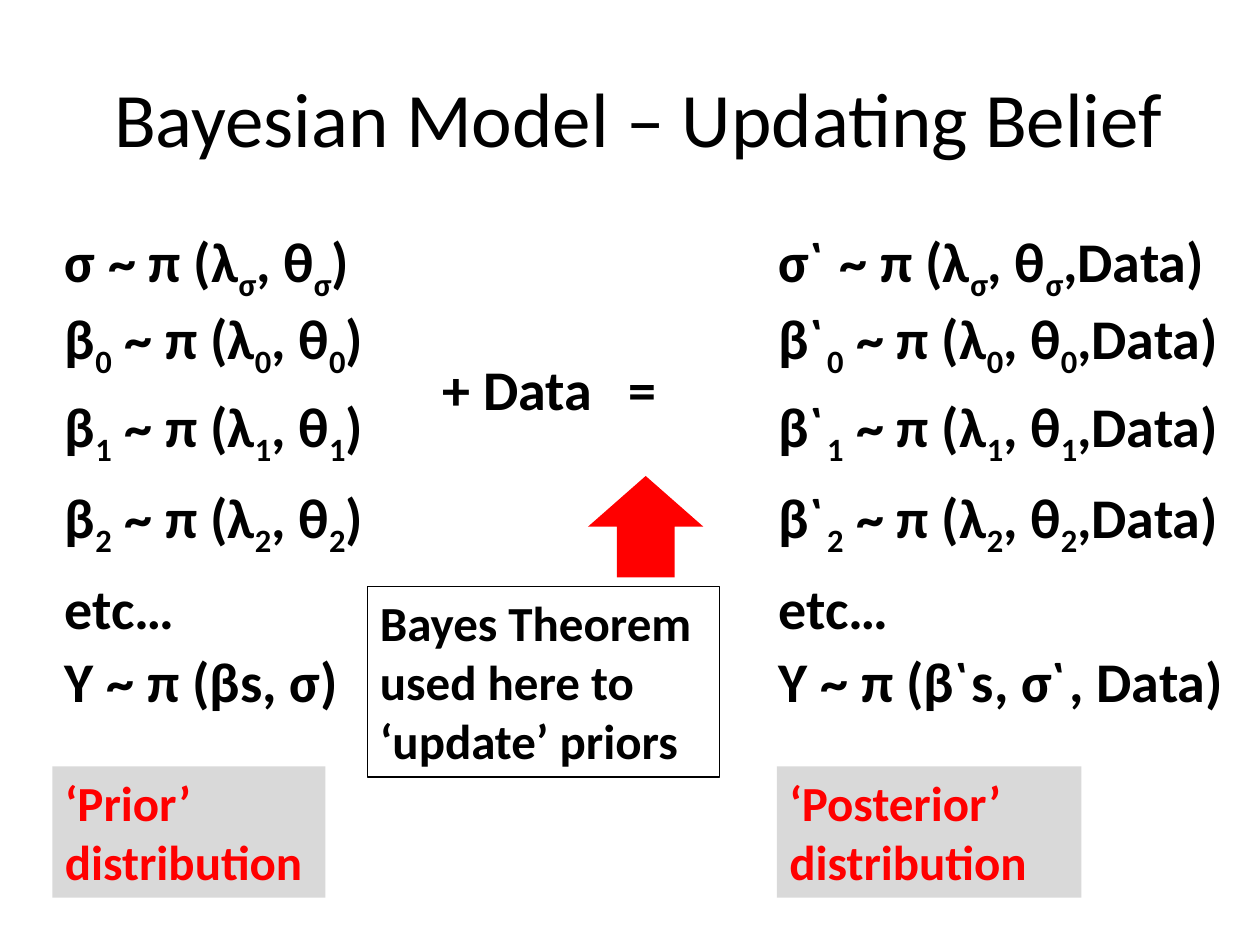
from lxml import etree
from pptx import Presentation
from pptx.dml.color import RGBColor
from pptx.enum.shapes import MSO_SHAPE
from pptx.enum.text import MSO_ANCHOR, MSO_AUTO_SIZE, PP_ALIGN
from pptx.oxml.ns import qn
from pptx.util import Pt

RECTANGLE, UP_ARROW = MSO_SHAPE.RECTANGLE, MSO_SHAPE.UP_ARROW
TOP, MIDDLE = MSO_ANCHOR.TOP, MSO_ANCHOR.MIDDLE
LEFT, CENTER = PP_ALIGN.LEFT, PP_ALIGN.CENTER
FIT_SHAPE = MSO_AUTO_SIZE.SHAPE_TO_FIT_TEXT

FONT = "Calibri"
COLORS = {"text": "000000", "accent": "FF0000", "label": "D9D9D9"}
TITLE_ONLY = 5
PRIOR_LEFT, POSTERIOR_LEFT = 30, 438
FORMULA_HEIGHT = 46

# Top, prior width, prior, posterior width, posterior; "_" lowers the next letter
FORMULAS = [
    (126, 240, "σ ~ π (λ_σ, θ_σ)", 282, "σ` ~ π (λ_σ, θ_σ,Data)"),
    (170, 198, "β_0 ~ π (λ_0, θ_0)", 282, "β`_0 ~ π (λ_0, θ_0,Data)"),
    (220, 198, "β_1 ~ π (λ_1, θ_1)", 282, "β`_1 ~ π (λ_1, θ_1,Data)"),
    (272, 198, "β_2 ~ π (λ_2, θ_2)", 282, "β`_2 ~ π (λ_2, θ_2,Data)"),
    (324, 198, "etc…", 198, "etc…"),
    (366, 198, "Y ~ π (βs, σ)", 276, "Y ~ π (β`s, σ`, Data)"),
]


def color(name):
    return RGBColor.from_string(COLORS[name])


def set_font(para, size, color_name="text", bold=True):
    font = para.font
    font.name, font.size, font.bold = FONT, Pt(size), bold
    font.color.rgb = color(color_name)


def add_span(para, text, lowered=False):
    span = para.add_run()
    span.text = text
    if lowered:
        span.font._element.set("baseline", "-25000")


def add_formula(page, left, top, width, text):
    box = page.shapes.add_textbox(Pt(left), Pt(top), Pt(width), Pt(FORMULA_HEIGHT))
    box.text_frame.word_wrap = True
    box.text_frame.auto_size = FIT_SHAPE
    para = box.text_frame.paragraphs[0]
    set_font(para, 32)
    first, *rest = text.split("_")
    add_span(para, first)
    for part in rest:
        add_span(para, part[0], lowered=True)
        add_span(para, part[1:])
    return para


def add_tab_stop(para, position):
    properties = para._p.get_or_add_pPr()
    stops = etree.Element(qn("a:tabLst"))
    etree.SubElement(stops, qn("a:tab"), pos=str(Pt(position)), algn="l")
    properties.insert(0, stops)


def add_block(page, kind, left, top, width, height, fill=None, line=None):
    block = page.shapes.add_shape(kind, Pt(left), Pt(top), Pt(width), Pt(height))
    block.shadow.inherit = False
    if fill:
        block.fill.solid()
        block.fill.fore_color.rgb = color(fill)
    else:
        block.fill.background()
    if line:
        block.line.color.rgb = color(line)
        block.line.width = Pt(0.75)
    else:
        block.line.fill.background()
    return block


def write_block(block, lines, color_name):
    frame = block.text_frame
    frame.word_wrap = True
    frame.auto_size = FIT_SHAPE
    frame.vertical_anchor = TOP
    frame.text = "\n".join(lines)
    for para in frame.paragraphs:
        para.alignment = LEFT
        set_font(para, 28, color_name)


def add_title(page, text):
    title = page.shapes.title
    title.left, title.top, title.width, title.height = Pt(41), Pt(21.6), Pt(648), Pt(90)
    title.text_frame.text = text
    title.text_frame.vertical_anchor = MIDDLE
    para = title.text_frame.paragraphs[0]
    para.alignment = CENTER
    set_font(para, 44, bold=False)


def main():
    deck = Presentation()
    deck.slide_width, deck.slide_height = Pt(720), Pt(540)
    page = deck.slides.add_slide(deck.slide_layouts[TITLE_ONLY])
    add_title(page, "Bayesian Model – Updating Belief")

    # Prior and posterior formulas
    for top, prior_width, prior, posterior_width, posterior in FORMULAS:
        add_formula(page, PRIOR_LEFT, top, prior_width, prior)
        add_formula(page, POSTERIOR_LEFT, top, posterior_width, posterior)

    # Data joins the two columns
    update = add_formula(page, 246, 199, 156, "+ Data\t=")
    add_tab_stop(update, 106)

    # Column labels
    for left, width, name in ((PRIOR_LEFT, 156, "Prior"), (444, 174, "Posterior")):
        label = add_block(page, RECTANGLE, left, 438, width, 75, fill="label")
        write_block(label, [f"‘{name}’ distribution"], "accent")

    # Note on the theorem, pointing up at the equals sign
    add_block(page, UP_ARROW, 336, 272, 66, 58, fill="accent")
    note = add_block(page, RECTANGLE, 210, 335, 201, 109, line="text")
    write_block(note, ["Bayes Theorem used here to", "‘update’ priors"], "text")

    deck.save("out.pptx")


if __name__ == "__main__":
    main()
